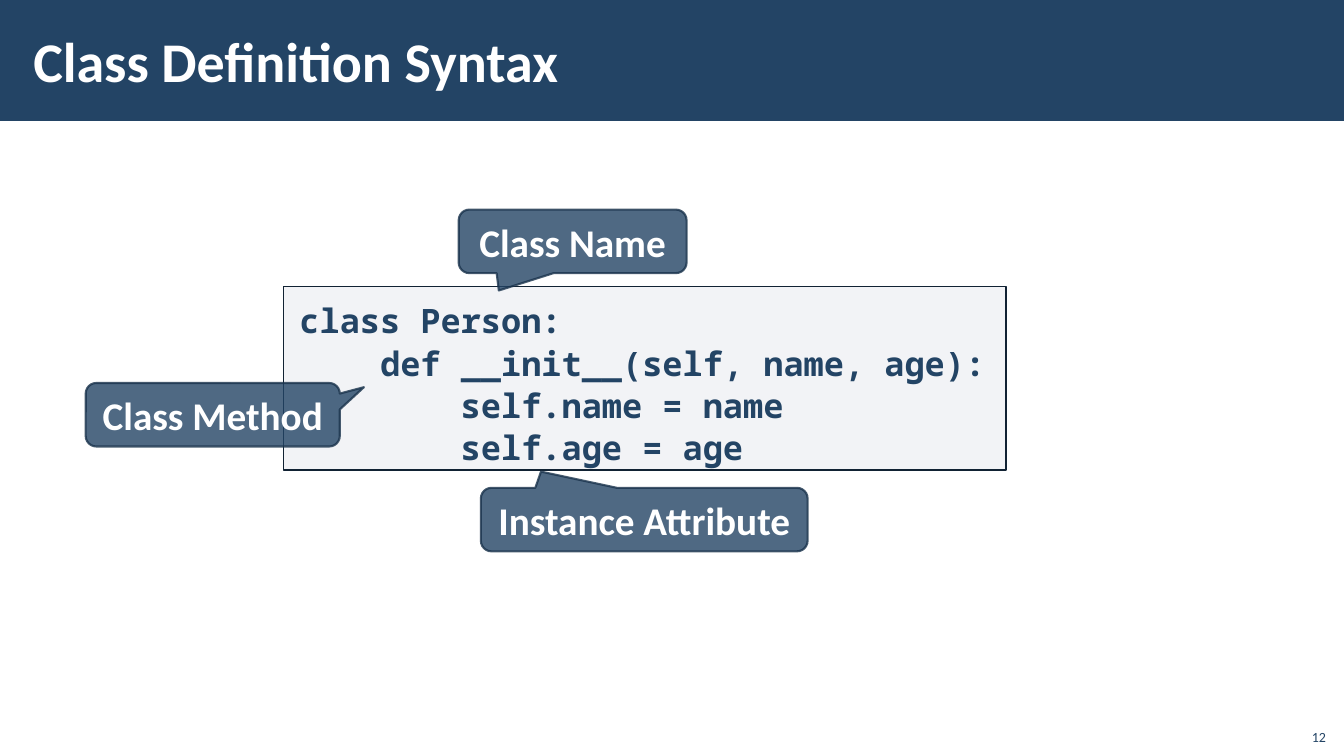
import pptx
import pptx.util
import pptx.dml.color
import pptx.enum.shapes
import pptx.enum.text
import pptx.oxml
import pptx.oxml.ns

Inches = pptx.util.Inches
ANCHOR = pptx.enum.text.MSO_ANCHOR
ALIGN = pptx.enum.text.PP_ALIGN
AUTO_SIZE = pptx.enum.text.MSO_AUTO_SIZE
SHAPE = pptx.enum.shapes.MSO_SHAPE

COLORS = {"navy": "234465", "outline": "1A334C", "code_fill": "ADB4C3",
          "code_line": "112233", "white": "FFFFFF"}


def paint(color_format, name, opacity=100):
    """Set a solid colour and, if needed, its opacity in percent."""
    color_format.rgb = pptx.dml.color.RGBColor.from_string(COLORS[name])
    if opacity < 100:
        for color in color_format._xFill.iter(pptx.oxml.ns.qn("a:srgbClr")):
            alpha = color.makeelement(pptx.oxml.ns.qn("a:alpha"), {"val": str(opacity * 1000)})
            color.append(alpha)


def write(shape, lines, font, color, frame, paragraph_format):
    """Fill a shape with lines of text in one format."""
    for name, value in frame.items():
        setattr(shape.text_frame, name, value)
    shape.text_frame.text = "\n".join(lines)
    for paragraph in shape.text_frame.paragraphs:
        for name, value in paragraph_format.items():
            setattr(paragraph, name, value)
        for run in paragraph.runs:
            for name, value in font.items():
                setattr(run.font, name, value)
            paint(run.font.color, color)


presentation = pptx.Presentation()
presentation.slide_width = Inches(13.33)
presentation.slide_height = Inches(7.5)
slide = presentation.slides.add_slide(presentation.slide_layouts[1])
title = slide.shapes.title
code = slide.placeholders[1]

# Title band, behind everything else
band = slide.shapes.add_shape(SHAPE.RECTANGLE, 0, 0, presentation.slide_width, Inches(1.2))
band.shadow.inherit = False
band.fill.solid()
paint(band.fill.fore_color, "navy")
band.line.fill.background()
title._element.addprevious(band._element)

# Title
title.left, title.top, title.width, title.height = map(Inches, (0.21, 0.11, 10.63, 0.97))
write(title, ["Class Definition Syntax"],
      {"name": "Calibri", "size": pptx.util.Pt(40), "bold": True}, "white",
      {"vertical_anchor": ANCHOR.MIDDLE, "auto_size": AUTO_SIZE.NONE, "word_wrap": True,
       "margin_left": Inches(0.12), "margin_right": Inches(0.12),
       "margin_top": Inches(0.04), "margin_bottom": Inches(0.04)},
      {"alignment": ALIGN.LEFT})

# Code box: each nesting level is indented by four characters
code_lines = [(0, "class Person:"), (1, "def __init__(self, name, age):"),
              (2, "self.name = name"), (2, "self.age = age")]
code.left, code.top, code.width, code.height = map(Inches, (2.81, 2.84, 7.17, 1.92))
code.fill.solid()
paint(code.fill.fore_color, "code_fill", 15)
code.line.width = pptx.util.Pt(1)
paint(code.line.fill.fore_color if code.line.fill.type else code.line.color, "code_line")
write(code, [line for _, line in code_lines],
      {"name": "Noto Sans Mono", "size": pptx.util.Pt(24), "bold": True}, "navy",
      {"vertical_anchor": ANCHOR.TOP, "auto_size": AUTO_SIZE.SHAPE_TO_FIT_TEXT, "word_wrap": True,
       "margin_left": Inches(0.16), "margin_right": Inches(0.16),
       "margin_top": Inches(0.12), "margin_bottom": Inches(0.12)},
      {"alignment": ALIGN.LEFT, "line_spacing": 1.05, "space_before": pptx.util.Pt(0)})
for paragraph, (depth, _) in zip(code.text_frame.paragraphs, code_lines):
    properties = paragraph._p.get_or_add_pPr()
    properties.set("marL", str(Inches(0.8 * depth)))
    properties.set("indent", "0")
    properties.append(properties.makeelement(pptx.oxml.ns.qn("a:buNone"), {}))

# Callouts: label, left, top, width, pointer tip as a share of the size
callouts = [("Class Name", 4.55, 2.08, 2.26, (-0.324, 0.774)),
            ("Class Method", 0.85, 3.8, 2.52, (0.595, -0.434)),
            ("Instance Attribute", 4.77, 4.84, 3.24, (-0.316, -0.756))]
for label, left, top, width, tip in callouts:
    callout = slide.shapes.add_shape(SHAPE.ROUNDED_RECTANGULAR_CALLOUT, Inches(left),
                                     Inches(top), Inches(width), Inches(0.63))
    callout.adjustments[0], callout.adjustments[1] = tip
    callout.shadow.inherit = False
    callout.fill.solid()
    paint(callout.fill.fore_color, "navy", 80)
    callout.line.width = pptx.util.Pt(1.5)
    paint(callout.line.color, "outline", 80)
    write(callout, [label],
          {"name": "Calibri", "size": pptx.util.Pt(28), "bold": True}, "white",
          {"vertical_anchor": ANCHOR.MIDDLE, "auto_size": AUTO_SIZE.SHAPE_TO_FIT_TEXT,
           "word_wrap": False},
          {"alignment": ALIGN.CENTER})

# Page number
page_number = slide.shapes.add_textbox(Inches(12.85), Inches(7.12), Inches(0.4), Inches(0.32))
write(page_number, ["12"], {"name": "Calibri", "size": pptx.util.Pt(10)}, "navy",
      {"vertical_anchor": ANCHOR.BOTTOM, "word_wrap": True}, {"alignment": ALIGN.RIGHT})

presentation.save("out.pptx")
